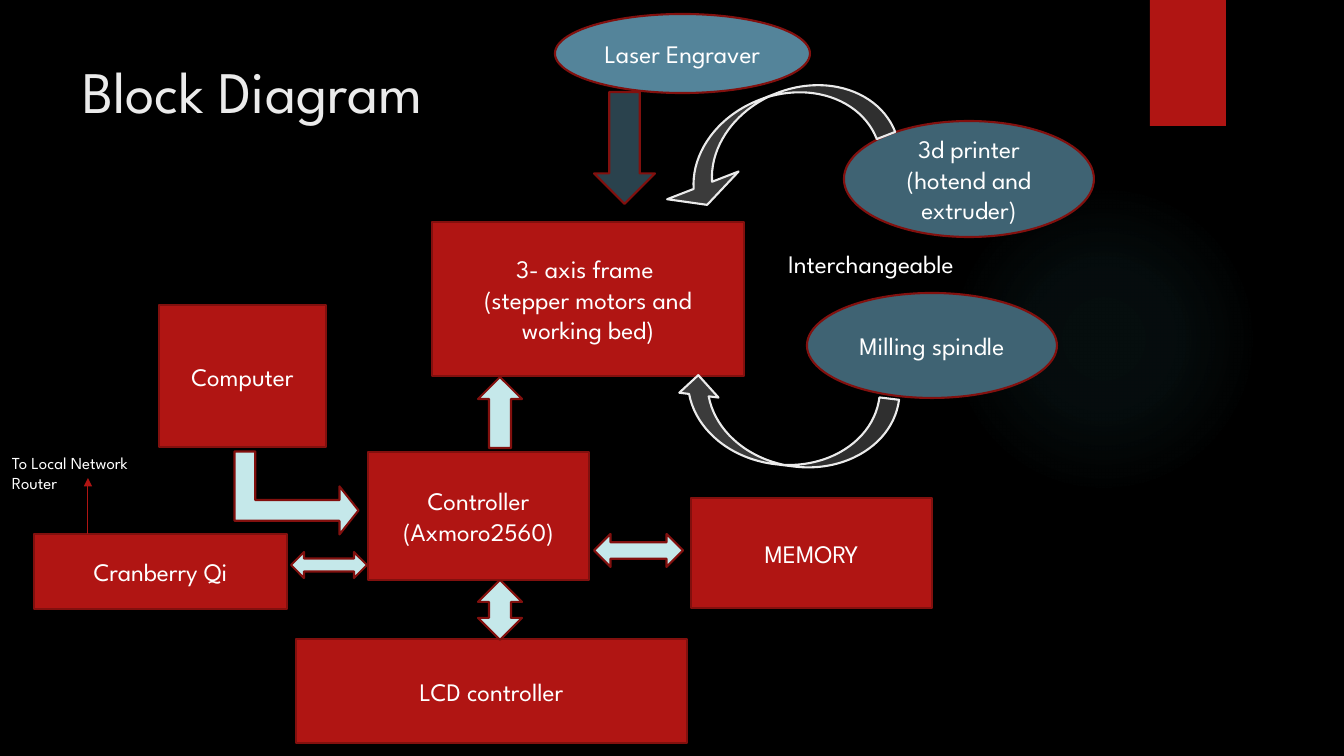
from lxml import etree
from pptx import Presentation
from pptx.dml.color import RGBColor
from pptx.enum.shapes import MSO_CONNECTOR, MSO_SHAPE
from pptx.enum.text import MSO_ANCHOR, MSO_AUTO_SIZE, PP_ALIGN
from pptx.oxml import parse_xml
from pptx.oxml.ns import qn
from pptx.util import Emu, Pt

PX = 914400 / 100.8
FONT = "League Spartan"
RED, DARK_RED, WHITE, PALE = "B01513", "82100E", "FFFFFF", "EBEBEB"
ICE, STEEL, CHARCOAL = "C5E8EA", "3F6373", "3B3B3B"


def color(hex_code):
    return RGBColor.from_string(hex_code)


def write(frame, lines, size, align, hex_code=WHITE):
    frame.text = "\n".join(lines)
    for paragraph in frame.paragraphs:
        paragraph.alignment = align
        paragraph.font.name = FONT
        paragraph.font.size = Pt(size)
        paragraph.font.color.rgb = color(hex_code)


presentation = Presentation()
presentation.slide_width = Emu(round(1344 * PX))
presentation.slide_height = Emu(round(756 * PX))
slide = presentation.slides.add_slide(presentation.slide_layouts[5])
slide.background.fill.solid()
slide.background.fill.fore_color.rgb = color("000000")
shapes = slide.shapes

# Backdrop: faint glow and red tab
glow = shapes.add_shape(MSO_SHAPE.OVAL, *[Emu(round(n * PX)) for n in (949, 184, 310, 310)])
tab = shapes.add_shape(MSO_SHAPE.RECTANGLE, *[Emu(round(n * PX)) for n in (1150, 0, 76, 126)])
for backdrop in (glow, tab):
    backdrop.shadow.inherit = False
    backdrop.line.fill.background()
tab.fill.solid()
tab.fill.fore_color.rgb = color(RED)
stops = "".join(
    f'<a:gs pos="{position}000"><a:srgbClr val="50B9C1"><a:alpha val="{alpha}000"/></a:srgbClr></a:gs>'
    for position, alpha in ((0, 7), (36, 6), (69, 0), (100, 0))
)
glow.fill.background()
no_fill = glow._element.spPr.find(qn("a:noFill"))
glow._element.spPr.replace(no_fill, parse_xml(
    '<a:gradFill xmlns:a="http://schemas.openxmlformats.org/drawingml/2006/main">'
    f'<a:gsLst>{stops}</a:gsLst><a:path path="circle">'
    '<a:fillToRect l="50000" t="50000" r="50000" b="50000"/></a:path></a:gradFill>'
))

# Title
title = shapes.title
title.left, title.top, title.width, title.height = [Emu(round(n * PX)) for n in (72, 50, 1037, 154)]
title.text_frame.vertical_anchor = MSO_ANCHOR.TOP
title.text_frame.auto_size = MSO_AUTO_SIZE.NONE
write(title.text_frame, ["Block Diagram"], 42, PP_ALIGN.LEFT, PALE)

# Blocks and tool heads: preset, box, fill, lines
blocks = [
    (MSO_SHAPE.RECTANGLE, (432, 222, 312, 154), RED, ["3- axis frame ", "(stepper motors and working bed)"]),
    (MSO_SHAPE.RECTANGLE, (368, 452, 221, 128), RED, ["Controller", "(Axmoro2560)"]),
    (MSO_SHAPE.RECTANGLE, (691, 498, 241, 110), RED, ["MEMORY"]),
    (MSO_SHAPE.RECTANGLE, (159, 305, 167, 142), RED, ["Computer"]),
    (MSO_SHAPE.RECTANGLE, (296, 639, 391, 104), RED, ["LCD controller"]),
    (MSO_SHAPE.RECTANGLE, (34, 534, 253, 75), RED, ["Cranberry Qi"]),
    (MSO_SHAPE.OVAL, (844, 121, 250, 116), STEEL, ["3d printer", "(hotend and extruder)"]),
    (MSO_SHAPE.OVAL, (807, 293, 250, 105), STEEL, ["Milling spindle"]),
    (MSO_SHAPE.OVAL, (555, 14, 255, 79), "54849A", ["Laser Engraver"]),
]
for preset, box, fill, lines in blocks:
    block = shapes.add_shape(preset, *[Emu(round(n * PX)) for n in box])
    block.shadow.inherit = False
    block.fill.solid()
    block.fill.fore_color.rgb = color(fill)
    block.line.color.rgb = color(DARK_RED)
    block.line.width = Pt(1.5)
    block.text_frame.word_wrap = True
    block.text_frame.vertical_anchor = MSO_ANCHOR.MIDDLE
    write(block.text_frame, lines, 18, PP_ALIGN.CENTER)

# Block arrows: preset, box, rotation, adjustments, fill, outline
arrows = [
    (MSO_SHAPE.LEFT_RIGHT_ARROW, (594, 534, 89, 33), 0, (), ICE, DARK_RED),
    (MSO_SHAPE.LEFT_RIGHT_ARROW, (291, 552, 76, 26), 0, (), ICE, DARK_RED),
    (MSO_SHAPE.UP_ARROW, (478, 377, 44, 71), 0, (), ICE, DARK_RED),
    (MSO_SHAPE.UP_DOWN_ARROW, (478, 580, 44, 60), 0, (), ICE, DARK_RED),
    (MSO_SHAPE.BENT_UP_ARROW, (255, 431, 83, 124), 90, (0.25, 0.29, 0.23), ICE, DARK_RED),
    (MSO_SHAPE.DOWN_ARROW, (594, 92, 61, 112), 0, (), "2A424D", DARK_RED),
    (MSO_SHAPE.CURVED_UP_ARROW, (649, 99, 240, 79), 158.8, (0.25, 0.97, 0.25), CHARCOAL, PALE),
    (MSO_SHAPE.CURVED_DOWN_ARROW, (673, 386, 222, 79), 187, (), CHARCOAL, PALE),
]
for preset, box, rotation, adjustments, fill, outline in arrows:
    arrow = shapes.add_shape(preset, *[Emu(round(n * PX)) for n in box])
    arrow.shadow.inherit = False
    arrow.rotation = rotation
    for index, value in enumerate(adjustments):
        arrow.adjustments[index] = value
    arrow.fill.solid()
    arrow.fill.fore_color.rgb = color(fill)
    arrow.line.color.rgb = color(outline)
    arrow.line.width = Pt(1.5)

# Thin arrow to the router
router_link = shapes.add_connector(
    MSO_CONNECTOR.STRAIGHT, *[Emu(round(n * PX)) for n in (88, 534, 88, 478)]
)
router_link.line.color.rgb = color(RED)
router_link.line.width = Pt(0.75)
etree.SubElement(router_link.line._get_or_add_ln(), qn("a:tailEnd"), type="triangle")
etree.SubElement(router_link._element.spPr, qn("a:effectLst"))

# Free labels
labels = [
    ((756, 243, 230, 40), ["Interchangeable"], 18, PP_ALIGN.CENTER),
    ((2, 448, 161, 50), ["To Local Network", "Router"], 12, PP_ALIGN.LEFT),
]
for box, lines, size, align in labels:
    label = shapes.add_textbox(*[Emu(round(n * PX)) for n in box])
    label.text_frame.word_wrap = True
    write(label.text_frame, lines, size, align)

presentation.save("out.pptx")
